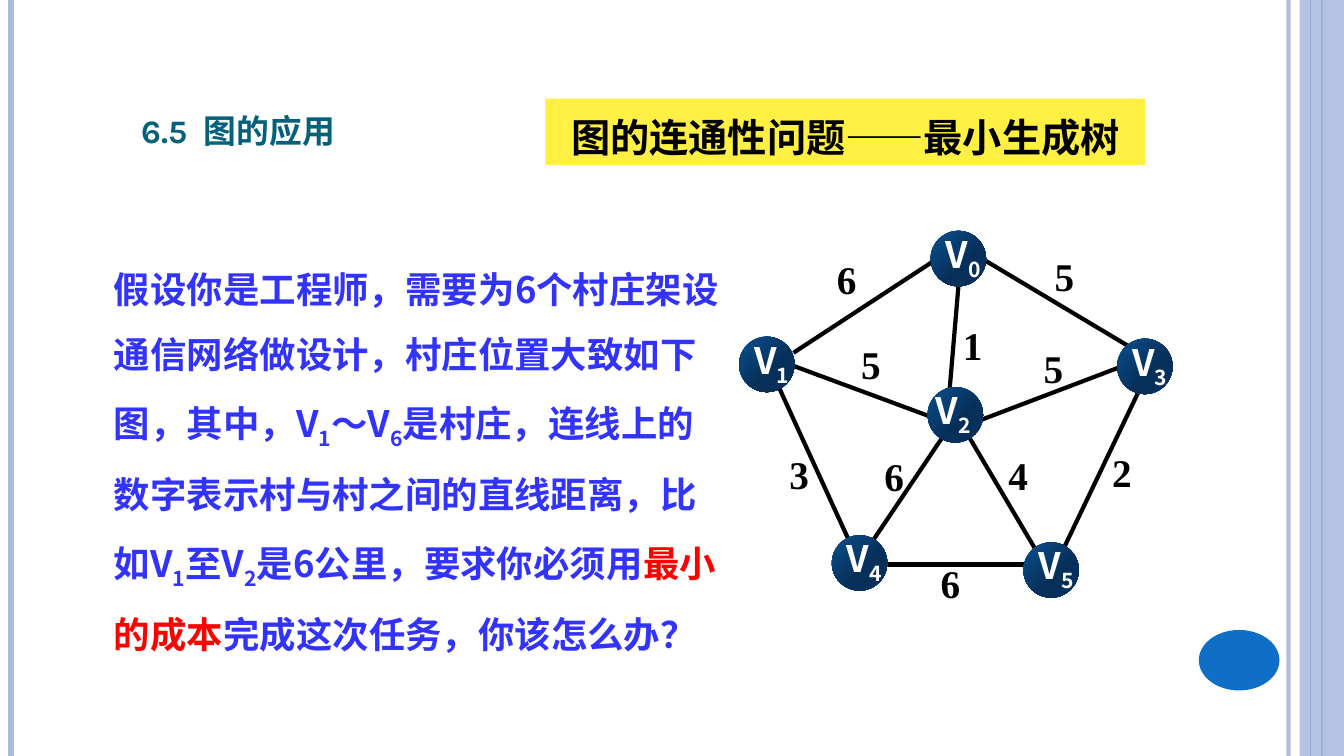
from lxml import etree
from pptx import Presentation
from pptx.dml.color import RGBColor
from pptx.enum.shapes import MSO_CONNECTOR, MSO_SHAPE
from pptx.enum.text import MSO_ANCHOR, MSO_AUTO_SIZE, PP_ALIGN
from pptx.oxml.ns import qn
from pptx.util import Inches, Pt

STRAIGHT = MSO_CONNECTOR.STRAIGHT
OVAL, RECTANGLE = MSO_SHAPE.OVAL, MSO_SHAPE.RECTANGLE
TOP, BOTTOM = MSO_ANCHOR.TOP, MSO_ANCHOR.BOTTOM
LEFT, CENTER, JUSTIFY = PP_ALIGN.LEFT, PP_ALIGN.CENTER, PP_ALIGN.JUSTIFY
NO_AUTOFIT = MSO_AUTO_SIZE.NONE
WIDTH, HEIGHT = 13.33, 7.5
SANS, SERIF = "Noto Sans CJK SC", "Times New Roman"
COLORS = {
    "rail": "ABBBDF", "blue": "0F6FC6", "teal": "04617B", "body": "3333FF",
    "red": "FF0000", "black": "000000", "white": "FFFFFF", "yellow": "FFF043",
    "node_light": "0B4F8E", "node_dark": "06305A",
}
RAILS = [(12.78, "rail", 3), (0.11, "rail", 4.5), (13.11, "blue", 1.5), (13, "blue", 0.75)]
STORY = [
    ("假设你是工程师，需要为6个村庄架设通信网络做设计，村庄位置大致如下图，其中，V", None),
    ("1", "sub"), ("～V", None), ("6", "sub"),
    ("是村庄，连线上的数字表示村与村之间的直线距离，比如V", None),
    ("1", "sub"), ("至V", None), ("2", "sub"), ("是6公里，要求你必须用", None),
    ("最小的成本", "red"), ("完成这次任务，你该怎么办？", None),
]
NODE_SIZE = 0.55
NODES = [(1.9, 0.05), (0, 1.1), (1.87, 1.6), (3.75, 1.12), (0.92, 3.07), (2.82, 3.14)]
LABEL_SHIFTS = {2: 0}
EDGES = [
    ((1.93, 0.35), (0.54, 1.26), "6", (0.97, 0.29)),
    ((2.45, 0.35), (3.89, 1.21), "5", (3.13, 0.26)),
    ((2.18, 0.55), (2.09, 1.61), "1", (2.22, 0.95)),
    ((0.54, 1.39), (1.89, 1.89), "5", (1.21, 1.14)),
    ((3.81, 1.39), (2.39, 1.93), "5", (3.02, 1.18)),
    ((0.39, 1.59), (1.08, 3.1), "3", (0.5, 2.23)),
    ((2.01, 2.11), (1.33, 3.12), "6", (1.44, 2.25)),
    ((2.29, 2.11), (2.94, 3.21), "4", (2.67, 2.24)),
    ((3.97, 1.63), (3.23, 3.18), "2", (3.7, 2.21)),
    ((1.48, 3.36), (2.84, 3.36), "6", (2, 3.31)),
]


def color(name):
    """Return the named colour."""
    return RGBColor.from_string(COLORS[name])


def style(para, size, face, tint, align, spacing=1.0):
    """Format a whole paragraph in bold."""
    para.alignment, para.line_spacing = align, spacing
    para.space_before = Pt(0)
    font = para.font
    font.size, font.bold = Pt(size), True
    font.color.rgb = color(tint)
    font.name = face
    etree.SubElement(font._element, qn("a:ea")).set("typeface", SANS)


def add_span(para, text, kind=None):
    """Append a run, lowered or red when its kind asks for it."""
    span = para.add_run()
    span.text = text
    if kind == "sub":
        span.font._element.set("baseline", "-25000")
    elif kind:
        span.font.color.rgb = color(kind)


def place(shape, box):
    """Move a shape to a box given in inches."""
    shape.left, shape.top, shape.width, shape.height = map(Inches, box)


def add_line(page, start, end, tint, width):
    """Draw a straight line without a shadow."""
    line = page.shapes.add_connector(STRAIGHT, *map(Inches, (*start, *end)))
    line.line.color.rgb = color(tint)
    line.line.width = Pt(width)
    etree.SubElement(line._element.spPr, qn("a:effectLst"))
    return line


def add_block(page, kind, box, tint):
    """Add a flat, borderless preset shape."""
    block = page.shapes.add_shape(kind, *map(Inches, box))
    block.shadow.inherit = False
    block.fill.solid()
    block.fill.fore_color.rgb = color(tint)
    block.line.fill.background()
    return block


def set_alpha(element, percent):
    """Make the colour inside an element partly transparent."""
    tone = next(element.iter(qn("a:srgbClr")))
    etree.SubElement(tone, qn("a:alpha")).set("val", str(percent * 1000))


def add_label(page, box, insets, spans, size, face, tint):
    """Add a text box with a single justified line."""
    label = page.shapes.add_textbox(*map(Inches, box))
    frame = label.text_frame
    frame.word_wrap = True
    (frame.margin_left, frame.margin_top,
     frame.margin_right, frame.margin_bottom) = map(Inches, insets)
    para = frame.paragraphs[0]
    for text, kind in spans:
        add_span(para, text, kind)
    style(para, size, face, tint, JUSTIFY)


def draw_frame(page):
    """Draw the side rails, the right band and the page dot."""
    lines = [add_line(page, (x, 0), (x, HEIGHT), tint, width) for x, tint, width in RAILS]
    set_alpha(lines[0]._element.spPr, 93)
    band = add_block(page, RECTANGLE, (12.89, 0, WIDTH - 12.89, HEIGHT), "rail")
    set_alpha(band._element.spPr, 87)
    add_block(page, OVAL, (11.89, 6.25, 0.8, 0.6), "blue")


def write_title(title, box):
    """Write the section title in small capitals."""
    place(title, box)
    frame = title.text_frame
    frame.vertical_anchor, frame.auto_size = BOTTOM, NO_AUTOFIT
    para = frame.paragraphs[0]
    add_span(para, "6.5  图的应用")
    style(para, 29.2, "Karla", "teal", LEFT)
    para.font._element.set("cap", "small")


def write_story(body, box):
    """Write the task description."""
    place(body, box)
    frame = body.text_frame
    frame.vertical_anchor, frame.auto_size = TOP, NO_AUTOFIT
    para = frame.paragraphs[0]
    settings = para._p.get_or_add_pPr()
    settings.set("marL", "0")
    settings.set("indent", "0")
    etree.SubElement(settings, qn("a:buNone"))
    for text, kind in STORY:
        add_span(para, text, kind)
    style(para, 26, SANS, "body", LEFT, 1.5)


def draw_banner(page, box):
    """Add the yellow topic banner."""
    para = add_block(page, RECTANGLE, box, "yellow").text_frame.paragraphs[0]
    add_span(para, "图的连通性问题——最小生成树")
    style(para, 28, "Arial", "black", CENTER, 1.2)


def draw_node(page, index, left, top):
    """Draw one village with its name."""
    node = add_block(page, OVAL, (left, top, NODE_SIZE, NODE_SIZE), "node_dark")
    node.fill.gradient()
    node.fill.gradient_angle = 315
    for stop, tint, position in zip(node.fill.gradient_stops, ("node_light", "node_dark"), (0, 0.6)):
        stop.color.rgb = color(tint)
        stop.position = position
    box = (left + LABEL_SHIFTS.get(index, 0.07), top - 0.05, 0.51, 0.65)
    spans = [("V", None), (str(index), "sub")]
    add_label(page, box, (0.08, 0.06, 0, 0.01), spans, 26, SANS, "white")


def draw_graph(page, left, top):
    """Draw the weighted village graph from its upper left corner."""
    for start, end, weight, spot in EDGES:
        ends = [(left + x, top + y) for x, y in (start, end)]
        add_line(page, *ends, "black", 3)
        box = (left + spot[0], top + spot[1], 0.45, 0.6)
        add_label(page, box, (0, 0, 0, 0), [(weight, None)], 28, SERIF, "black")
    for index, (x, y) in enumerate(NODES):
        draw_node(page, index, left + x, top + y)


def main():
    """Build and save the deck."""
    deck = Presentation()
    deck.slide_width, deck.slide_height = Inches(WIDTH), Inches(HEIGHT)
    page = deck.slides.add_slide(deck.slide_layouts[1])
    draw_frame(page)
    write_title(page.shapes.title, (1.3, 0.95, 3.4, 0.61))
    write_story(page.placeholders[1], (1.03, 2.38, 6.3, 4.04))
    draw_graph(page, 7.33, 2.24)
    draw_banner(page, (5.41, 0.98, 5.95, 0.66))
    deck.save("out.pptx")


if __name__ == "__main__":
    main()
